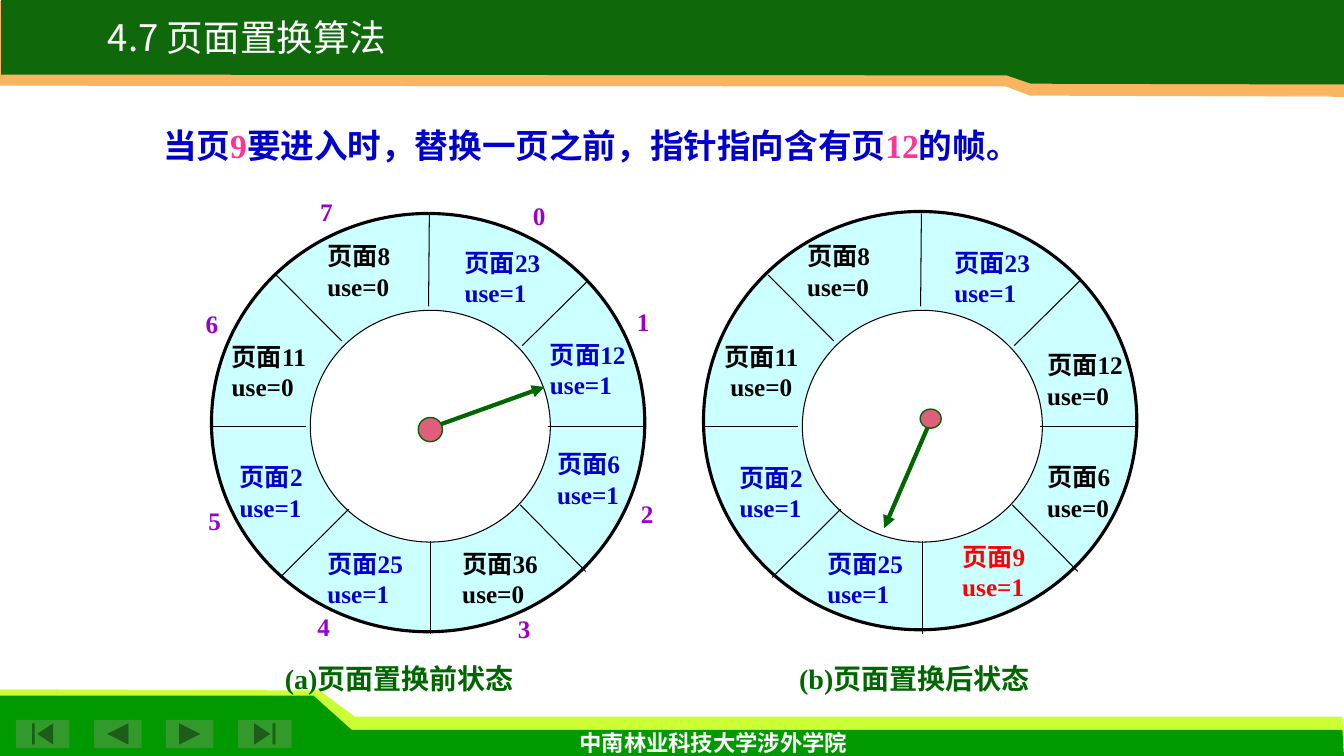
from lxml.etree import SubElement
from pptx import Presentation
from pptx.dml.color import RGBColor
from pptx.enum.shapes import MSO_CONNECTOR, MSO_SHAPE
from pptx.enum.text import MSO_ANCHOR, PP_ALIGN
from pptx.oxml.ns import qn
from pptx.util import Cm, Pt

BLUE, BLACK, RED = "0000CC", "000000", "FF0000"
GREEN, PURPLE, PINK, WHITE = "006600", "9900CC", "FF3399", "FFFFFF"
CJK = "Noto Sans CJK SC"

prs = Presentation()
prs.slide_width, prs.slide_height = Cm(33.87), Cm(19.05)
s = prs.slides.add_slide(prs.slide_layouts[6])


def paint(sp, fill, line=None, width=0):
    sp.shadow.inherit = False
    sp.fill.solid()
    sp.fill.fore_color.rgb = RGBColor.from_string(fill)
    if line:
        sp.line.color.rgb = RGBColor.from_string(line)
        sp.line.width = Pt(width)
    else:
        sp.line.fill.background()


def write(box, lines, size, align=PP_ALIGN.LEFT, font="Times New Roman", bold=True):
    """Add a text box; each line is a list of (text, colour) runs."""
    tf = s.shapes.add_textbox(*map(Cm, box)).text_frame
    tf.word_wrap = True
    for i, runs in enumerate(lines):
        p = tf.paragraphs[0] if i == 0 else tf.add_paragraph()
        p.alignment = align
        for text, colour in runs:
            r = p.add_run()
            r.text = text
            for name, value in {"name": font, "size": Pt(size), "bold": bold}.items():
                setattr(r.font, name, value)
            r.font.color.rgb = RGBColor.from_string(colour)
            SubElement(r.font._element, qn("a:ea"), typeface=CJK)
    return tf


# Footer and header bands
footer = [
    ("CCFF33", [(0, 17.37), (8.05, 17.4), (8.94, 18.06), (33.83, 18.06), (33.87, 18.8), (0.03, 18.8)]),
    ("009900", [(0, 17.53), (7.9, 17.53), (8.86, 18.39), (33.83, 18.39), (33.87, 19.05), (0, 19.05)]),
]
header = [
    ("FBB561", [(33.87, 0.03), (0, 0.03), (0, 2.16), (25.35, 2.18), (25.96, 2.41), (33.87, 2.44)]),
    ("0F690B", [(33.87, 0), (0.03, 0), (0.03, 1.88), (25.37, 1.9), (25.98, 2.11), (33.87, 2.13)]),
    (WHITE, [(25.53, 2.44), (33.53, 2.41), (33.5, 2.57), (25.88, 2.57)]),
]
for colour, points in footer + header:
    points = [(Cm(x), Cm(y)) for x, y in points]
    fb = s.shapes.build_freeform(*points[0])
    fb.add_line_segments(points[1:])
    band = fb.convert_to_shape()
    paint(band, colour)
# The last band is a translucent highlight
SubElement(band._element.spPr.find(".//" + qn("a:srgbClr")), qn("a:alpha"), val="30000")

# Navigation buttons
for kind, x, w in [
    (MSO_SHAPE.ACTION_BUTTON_BEGINNING, 0.4, 1.35),
    (MSO_SHAPE.ACTION_BUTTON_BACK_OR_PREVIOUS, 2.37, 1.2),
    (MSO_SHAPE.ACTION_BUTTON_FORWARD_OR_NEXT, 4.18, 1.2),
    (MSO_SHAPE.ACTION_BUTTON_END, 6, 1.35),
]:
    paint(s.shapes.add_shape(kind, Cm(x), Cm(18.14), Cm(w), Cm(0.71)), "329A2A")

# Title, school name and statement
tf = write((1.14, 0.46, 10.39, 1.17), [[("4.7 页面置换算法 ", WHITE)]], 26.1, PP_ALIGN.CENTER, CJK, False)
tf.word_wrap = False
tf.vertical_anchor = MSO_ANCHOR.MIDDLE
tf.paragraphs[0].line_spacing = 0.8
write((12.34, 18.26, 11.28, 0.94), [[("中南林业科技大学涉外学院", WHITE)]], 16, PP_ALIGN.CENTER, "Lato")
write((3.86, 3.02, 23.7, 1.27), [[
    ("当页", BLUE), ("9", PINK), ("要进入时，替换一页之前，指针指向含有页", BLUE),
    ("12", PINK), ("的帧。", BLUE)]], 24)

# Spokes of the left ring; the right ring shifts them
spokes = [
    (5.28, 10.74, 7.72, 10.74), (13.82, 10.74, 16.26, 10.74),
    (6.96, 6.93, 8.61, 8.59), (8.79, 12.83, 7.06, 14.55),
    (14.83, 7.06, 13.16, 8.71), (13.11, 12.72, 14.76, 14.4),
    (10.82, 5.38, 10.8, 7.72), (10.85, 13.64, 10.85, 15.98),
]
# Frames: page, use bit, left, top
rings = [
    {"shift": 0, "top": 5.38, "pointer": (10.97, 10.74, 13.72, 9.75),
     "hub": (10.54, 10.52, 0.61, 0.61),
     "frames": [(23, 1, 11.46, 6.1), (12, 1, 13.61, 8.43), (6, 1, 13.79, 11.18),
                (36, 0, 11.4, 13.69), (25, 1, 8, 13.69), (2, 1, 5.79, 11.51),
                (11, 0, 5.59, 8.48), (8, 0, 8, 5.94)],
     "caption": ("(a)页面置换前状态", 6.93)},
    {"shift": 12.4, "top": 5.33, "pointer": (23.39, 10.74, 22.28, 13.31),
     "hub": (23.19, 10.31, 0.53, 0.48),
     "frames": [(23, 1, 23.8, 6.1), (12, 0, 26.14, 8.69), (6, 0, 26.14, 11.51),
                (9, 1, 24, 13.51), (25, 1, 20.6, 13.69), (2, 1, 18.39, 11.53),
                (11, 0, 17.32, 8.48), (8, 0, 20.09, 5.94)],
     "caption": ("(b)页面置换后状态", 19.89)},
]
for ring in rings:
    dx = ring["shift"]
    # Ring, pointer, spokes and hub
    for box, fill, width in [((5.33 + dx, ring["top"], 10.92, 10.54), "CCFFFF", 2.25),
                             ((7.82 + dx, 7.82, 6.05, 5.84), WHITE, 0.75)]:
        paint(s.shapes.add_shape(MSO_SHAPE.OVAL, *map(Cm, box)), fill, BLACK, width)
    lines = [(ring["pointer"], GREEN, 3)]
    lines += [((x1 + dx, y1, x2 + dx, y2), BLACK, 0.75) for x1, y1, x2, y2 in spokes]
    for ends, colour, width in lines:
        c = s.shapes.add_connector(MSO_CONNECTOR.STRAIGHT, *map(Cm, ends))
        c.line.color.rgb = RGBColor.from_string(colour)
        c.line.width = Pt(width)
        if colour == GREEN:
            SubElement(c.line._get_or_add_ln(), qn("a:tailEnd"), type="triangle")
        SubElement(c._element.spPr, qn("a:effectLst"))
    paint(s.shapes.add_shape(MSO_SHAPE.OVAL, *map(Cm, ring["hub"])), "E15D7C", GREEN, 1)

    # Frame labels: the new page is red, used pages are blue
    for page, use, x, y in ring["frames"]:
        colour = RED if page == 9 else BLUE if use else BLACK
        align = PP_ALIGN.CENTER if dx and page == 11 else PP_ALIGN.LEFT
        write((x, y, 3.73, 2.24), [[(f"页面{page}", colour)], [(f"use={use}", colour)]], 18, align)

    caption, x = ring["caption"]
    write((x, 16.54, 8.38, 1), [[(caption, GREEN)]], 20)

# Frame numbers around the left ring
places = [(13.18, 4.93), (15.8, 7.59), (15.9, 12.42), (12.8, 15.34),
          (7.75, 15.29), (5, 12.6), (4.93, 7.65), (7.82, 4.83)]
for number, (x, y) in enumerate(places):
    write((x, y, 2.13, 1.78), [[(str(number), PURPLE)]], 18)

prs.save("out.pptx")
